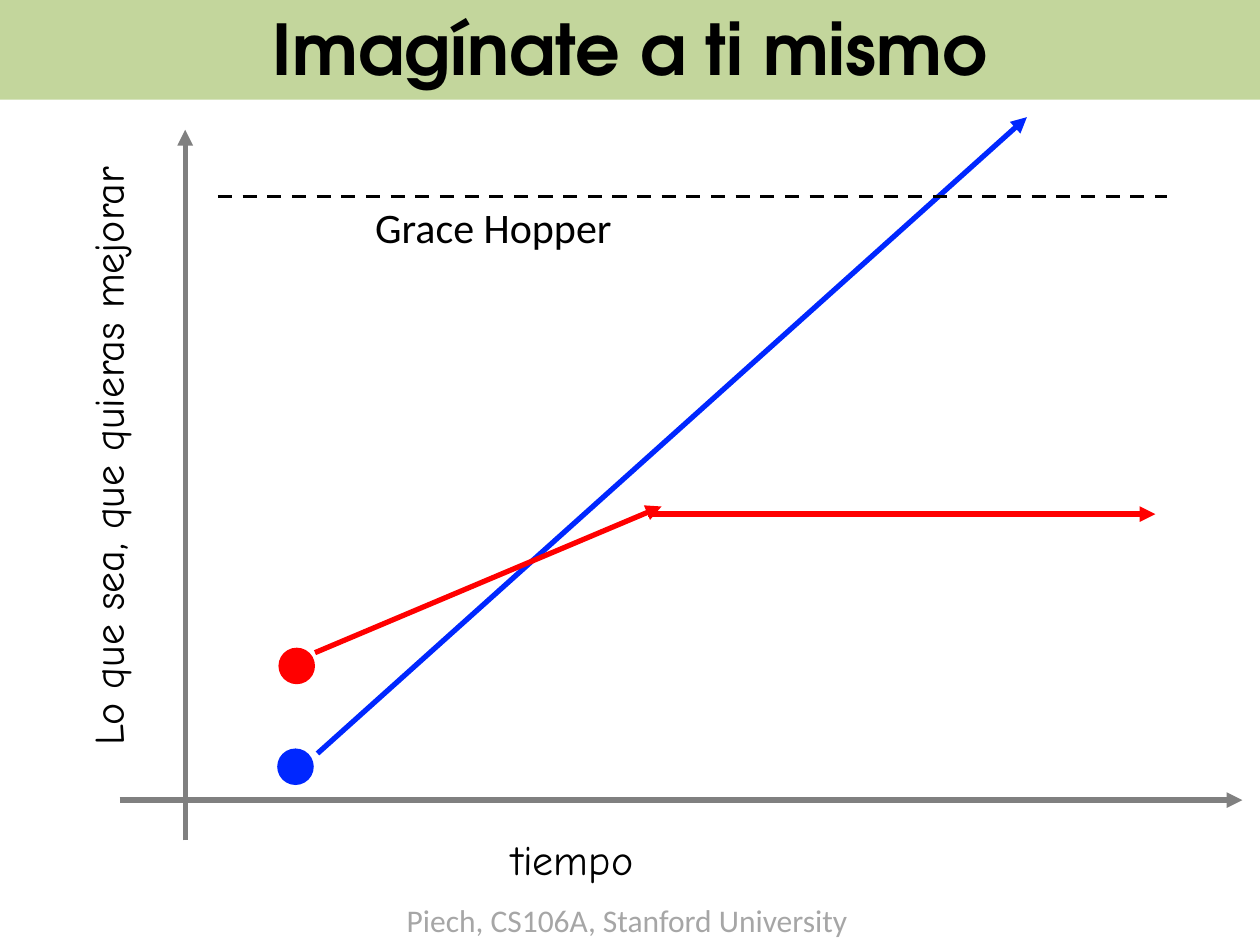
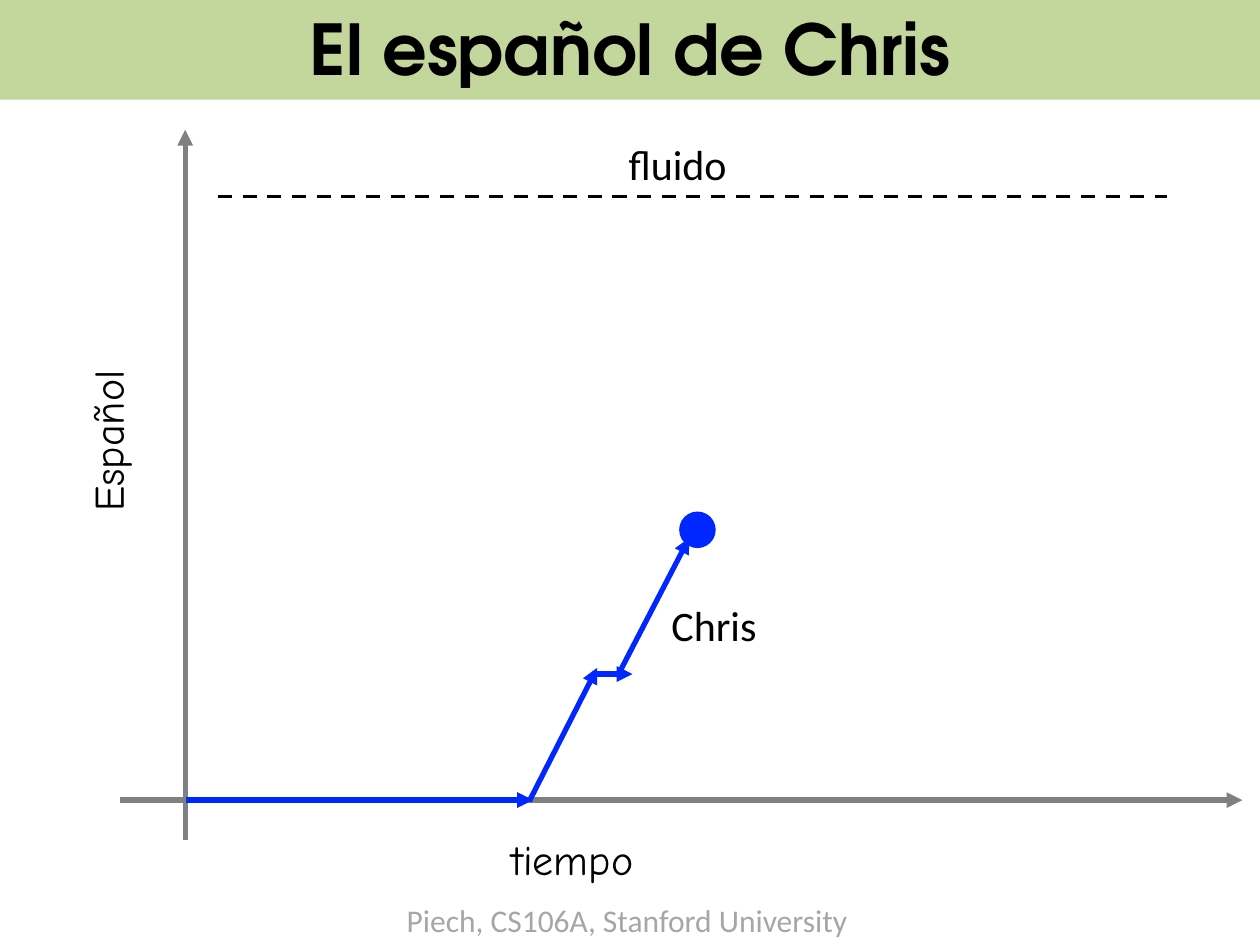
"""Build two slides that sketch learning progress over time."""
from dataclasses import dataclass
from typing import NamedTuple

from lxml import etree
from pptx import Presentation
from pptx import util as u
from pptx.dml.color import RGBColor
from pptx.enum import dml, shapes, text
from pptx.oxml import ns
from pptx.slide import Slide
from pptx.text.text import TextFrame


@dataclass(frozen=True)
class Theme:
    """Colours, fonts and type sizes shared by the slides."""
    band: RGBColor = RGBColor(0xC3, 0xD6, 0x9C)
    axis: RGBColor = RGBColor(0x80, 0x80, 0x80)
    footer: RGBColor = RGBColor(0xA6, 0xA6, 0xA6)
    ink: RGBColor = RGBColor(0, 0, 0)
    blue: RGBColor = RGBColor(0, 0x27, 0xFF)
    red: RGBColor = RGBColor(0xFF, 0, 0)
    title_font: str = "TeX Gyre Adventor"
    axis_font: str = "Comic Neue"
    body_font: str = "Calibri"
    title_size: int = 40
    label_size: int = 24
    footer_size: int = 18


THEME = Theme()
DOT_SIZE = 0.29


class Point(NamedTuple):
    """A position in inches."""
    x: float
    y: float


@dataclass(frozen=True)
class Line:
    """A straight line, either an arrow or a dashed rule."""
    start: Point
    end: Point
    color: RGBColor
    width: float = 3
    dashed: bool = False


@dataclass(frozen=True)
class Dot:
    """A filled circle placed by its top left corner."""
    corner: Point
    color: RGBColor


@dataclass(frozen=True)
class Label:
    """A single line of text placed by its unrotated frame."""
    content: str
    corner: Point
    width: float
    font: str = THEME.body_font
    size: int = THEME.label_size
    color: RGBColor = THEME.ink
    height: float = 0.5
    rotation: float = 0


@dataclass(frozen=True)
class Graph:
    """The content that sets one slide apart."""
    title: str
    skill: str
    skill_width: float
    dots: list[Dot]
    arrows: list[Line]
    labels: list[Label]


AXES = [
    Line(Point(1.47, 6.67), Point(1.47, 1.03), THEME.axis),
    Line(Point(0.95, 6.35), Point(9.86, 6.35), THEME.axis),
]
GOAL = Line(Point(1.73, 1.56), Point(9.26, 1.56), THEME.ink, 2, dashed=True)
TIME = Label("tiempo", Point(3.96, 6.57), 1.21, THEME.axis_font)
FOOTER = Label("Piech, CS106A, Stanford University", Point(3.13, 7.1), 3.74,
               size=THEME.footer_size, color=THEME.footer, height=0.4)

GRAPHS = [
    Graph(
        "Imagínate a ti mismo", "Lo que sea, que quieras mejorar", 5.05,
        [Dot(Point(2.2, 5.94), THEME.blue), Dot(Point(2.21, 5.14), THEME.red)],
        [
            Line(Point(2.52, 5.98), Point(8.15, 0.93), THEME.blue),
            Line(Point(2.5, 5.18), Point(5.25, 4.02), THEME.red),
            Line(Point(5.14, 4.08), Point(9.17, 4.08), THEME.red),
        ],
        [Label("Grace Hopper", Point(2.88, 1.55), 2.1)],
    ),
    Graph(
        "El español de Chris", "Español", 1.34,
        [Dot(Point(5.39, 4.06), THEME.blue)],
        [
            Line(Point(1.48, 6.35), Point(4.23, 6.35), THEME.blue),
            Line(Point(4.2, 6.36), Point(4.74, 5.3), THEME.blue),
            Line(Point(4.92, 5.33), Point(5.47, 4.27), THEME.blue),
            Line(Point(4.7, 5.35), Point(5.02, 5.35), THEME.blue),
        ],
        [Label("Chris", Point(5.23, 4.71), 0.88),
         Label("fluido", Point(4.89, 1.05), 0.99)],
    ),
]


def format_text(frame: TextFrame, font: str, size: int, color: RGBColor,
                bold: bool = False) -> None:
    """Format every run in a text frame."""
    for paragraph in frame.paragraphs:
        for run in paragraph.runs:
            run.font.name = font
            run.font.size = u.Pt(size)
            run.font.color.rgb = color
            run.font.bold = bold


def format_title(slide: Slide, title: str) -> None:
    """Turn the title placeholder into the green band."""
    shape = slide.shapes.title
    shape.left, shape.top = u.Inches(0), u.Inches(-0.03)
    shape.width, shape.height = u.Inches(10), u.Inches(0.82)
    shape.fill.solid()
    shape.fill.fore_color.rgb = THEME.band
    frame = shape.text_frame
    frame.text = title
    frame.auto_size = text.MSO_AUTO_SIZE.NONE
    frame.vertical_anchor = text.MSO_ANCHOR.MIDDLE
    frame.paragraphs[0].alignment = text.PP_ALIGN.CENTER
    format_text(frame, THEME.title_font, THEME.title_size, THEME.ink, bold=True)


def add_line(slide: Slide, line: Line) -> None:
    """Draw a dashed rule or an arrow pointing at the line's end."""
    connector = slide.shapes.add_connector(
        shapes.MSO_CONNECTOR.STRAIGHT,
        u.Inches(line.start.x), u.Inches(line.start.y),
        u.Inches(line.end.x), u.Inches(line.end.y))
    connector.line.color.rgb = line.color
    connector.line.width = u.Pt(line.width)
    properties = connector._element.spPr
    if line.dashed:
        connector.line.dash_style = dml.MSO_LINE.DASH
    else:
        outline = properties.find(ns.qn("a:ln"))
        etree.SubElement(outline, ns.qn("a:tailEnd"), type="triangle")
    etree.SubElement(properties, ns.qn("a:effectLst"))


def add_dot(slide: Slide, dot: Dot) -> None:
    """Draw a filled circle without an outline."""
    shape = slide.shapes.add_shape(
        shapes.MSO_SHAPE.OVAL, u.Inches(dot.corner.x), u.Inches(dot.corner.y),
        u.Inches(DOT_SIZE), u.Inches(DOT_SIZE))
    shape.shadow.inherit = False
    shape.fill.solid()
    shape.fill.fore_color.rgb = dot.color
    shape.line.fill.background()


def add_label(slide: Slide, label: Label) -> None:
    """Write one line of text."""
    shape = slide.shapes.add_textbox(
        u.Inches(label.corner.x), u.Inches(label.corner.y),
        u.Inches(label.width), u.Inches(label.height))
    shape.rotation = label.rotation
    frame = shape.text_frame
    frame.text = label.content
    frame.word_wrap = False
    frame.auto_size = text.MSO_AUTO_SIZE.SHAPE_TO_FIT_TEXT
    format_text(frame, label.font, label.size, label.color)


def skill_label(graph: Graph) -> Label:
    """Centre the upright label beside the vertical axis."""
    corner = Point(0.85 - graph.skill_width / 2, 3.24)
    return Label(graph.skill, corner, graph.skill_width, THEME.axis_font,
                 rotation=270)


def add_graph(presentation: Presentation, graph: Graph) -> None:
    """Add one slide with its axes, dots, arrows and labels."""
    slide = presentation.slides.add_slide(presentation.slide_layouts[5])
    format_title(slide, graph.title)
    for axis in AXES:
        add_line(slide, axis)
    for dot in graph.dots:
        add_dot(slide, dot)
    for line in [*graph.arrows, GOAL]:
        add_line(slide, line)
    for label in [*graph.labels, TIME, skill_label(graph), FOOTER]:
        add_label(slide, label)


def main() -> None:
    """Build and save the presentation."""
    presentation = Presentation()
    presentation.slide_width = u.Inches(10)
    presentation.slide_height = u.Inches(7.5)
    for graph in GRAPHS:
        add_graph(presentation, graph)
    presentation.save("out.pptx")


if __name__ == "__main__":
    main()
